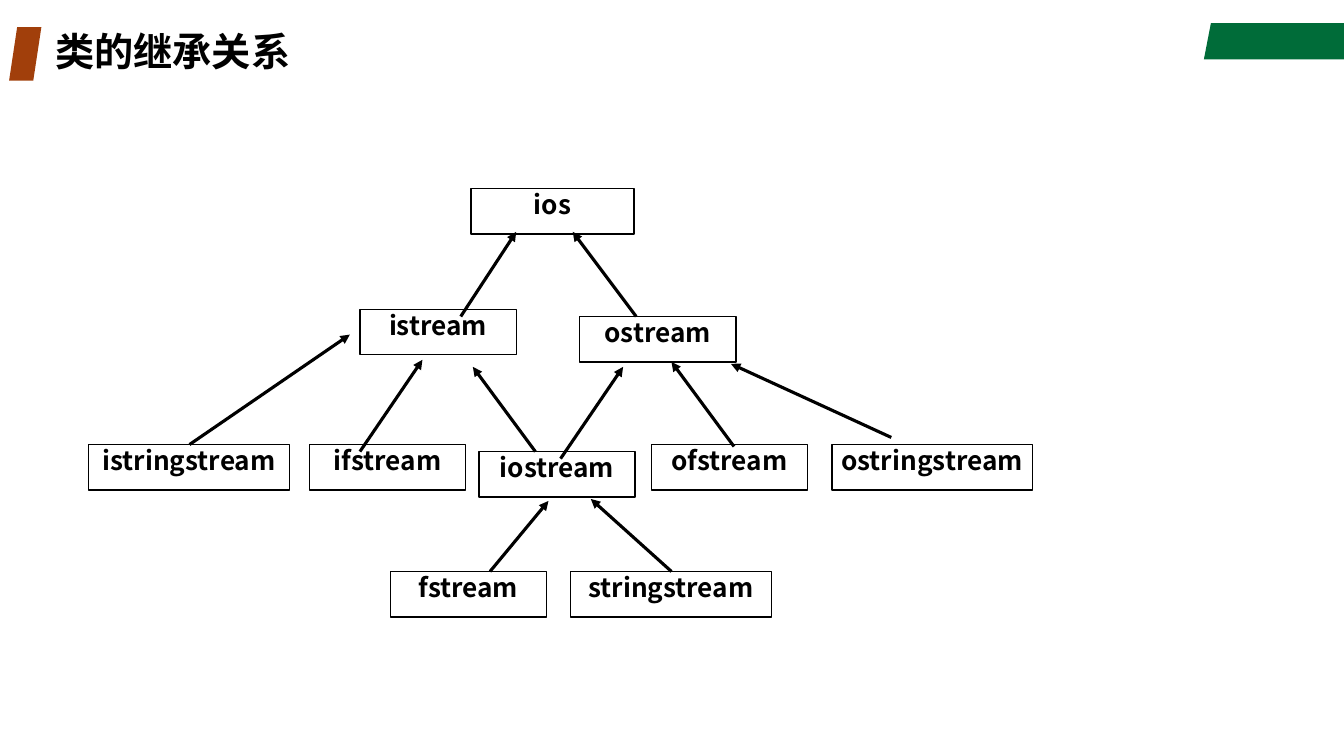
from lxml.etree import SubElement
from pptx import Presentation
from pptx.dml.color import RGBColor
from pptx.enum.shapes import MSO_CONNECTOR, MSO_SHAPE
from pptx.enum.text import MSO_ANCHOR, PP_ALIGN
from pptx.oxml.ns import qn
from pptx.util import Inches, Pt

BLACK = RGBColor(0x00, 0x00, 0x00)
GREEN = RGBColor(0x00, 0x6C, 0x39)
RUST = RGBColor(0xA1, 0x3F, 0x0B)
FONT = "Noto Sans CJK SC"


def write(tf, text, size):
    p = tf.paragraphs[0]
    r = p.add_run()
    r.text = text
    r.font.name = FONT
    r.font.size = Pt(size)
    r.font.bold = True
    r.font.color.rgb = BLACK
    SubElement(r.font._element, qn("a:ea"), typeface=FONT)
    return p


prs = Presentation()
prs.slide_width = Inches(13.33)
prs.slide_height = Inches(7.5)
s = prs.slides.add_slide(prs.slide_layouts[6])

fb = s.shapes.build_freeform(Inches(12.01), Inches(0.23), scale=1.0)
corners = [(13.33, 0.23), (13.33, 0.59), (11.94, 0.59)]
fb.add_line_segments([(Inches(x), Inches(y)) for x, y in corners], close=True)
banner = fb.convert_to_shape()
marker = s.shapes.add_shape(MSO_SHAPE.PARALLELOGRAM, Inches(0.09), Inches(0.27),
                            Inches(0.32), Inches(0.53))
for sp, color in [(banner, GREEN), (marker, RUST)]:
    sp.shadow.inherit = False
    sp.fill.solid()
    sp.fill.fore_color.rgb = color
    sp.line.fill.background()

title = s.shapes.add_textbox(Inches(0.45), Inches(0.27), Inches(9.45), Inches(0.53))
title.text_frame.word_wrap = True
title.text_frame.vertical_anchor = MSO_ANCHOR.MIDDLE
write(title.text_frame, "类的继承关系", 28).line_spacing = 0.9

classes = [
    ("ios", 4.67, 1.87, 1.62),
    ("istream", 3.57, 3.07, 1.55),
    ("ostream", 5.75, 3.14, 1.55),
    ("istringstream", 0.88, 4.41, 1.99),
    ("ifstream", 3.07, 4.41, 1.55),
    ("iostream", 4.75, 4.48, 1.55),
    ("ofstream", 6.46, 4.41, 1.55),
    ("ostringstream", 8.25, 4.41, 1.99),
    ("fstream", 3.87, 5.67, 1.55),
    ("stringstream", 5.66, 5.67, 1.99),
]
for name, x, y, w in classes:
    sp = s.shapes.add_shape(MSO_SHAPE.RECTANGLE, Inches(x), Inches(y),
                            Inches(w), Inches(0.45))
    sp.shadow.inherit = False
    sp.fill.background()
    sp.line.color.rgb = BLACK
    sp.line.width = Pt(1)
    tf = sp.text_frame
    tf.margin_left = tf.margin_right = tf.margin_top = tf.margin_bottom = 0
    tf.word_wrap = True
    tf.vertical_anchor = MSO_ANCHOR.TOP
    write(tf, name, 18.7).alignment = PP_ALIGN.CENTER

child_to_parent = [
    (4.57, 3.14, 5.12, 2.3),
    (6.31, 3.14, 5.68, 2.3),
    (1.88, 4.41, 3.47, 3.32),
    (3.57, 4.48, 4.19, 3.57),
    (5.31, 4.48, 4.69, 3.64),
    (5.56, 4.55, 6.18, 3.64),
    (7.28, 4.43, 6.66, 3.59),
    (8.84, 4.34, 7.25, 3.61),
    (4.86, 5.67, 5.44, 4.97),
    (6.66, 5.67, 5.86, 4.95),
]
for ends in child_to_parent:
    arrow = s.shapes.add_connector(MSO_CONNECTOR.STRAIGHT, *map(Inches, ends))
    arrow.line.color.rgb = BLACK
    arrow.line.width = Pt(2.25)
    SubElement(arrow.line._get_or_add_ln(), qn("a:tailEnd"), type="triangle")
    SubElement(arrow._element.spPr, qn("a:effectLst"))

prs.save("out.pptx")
